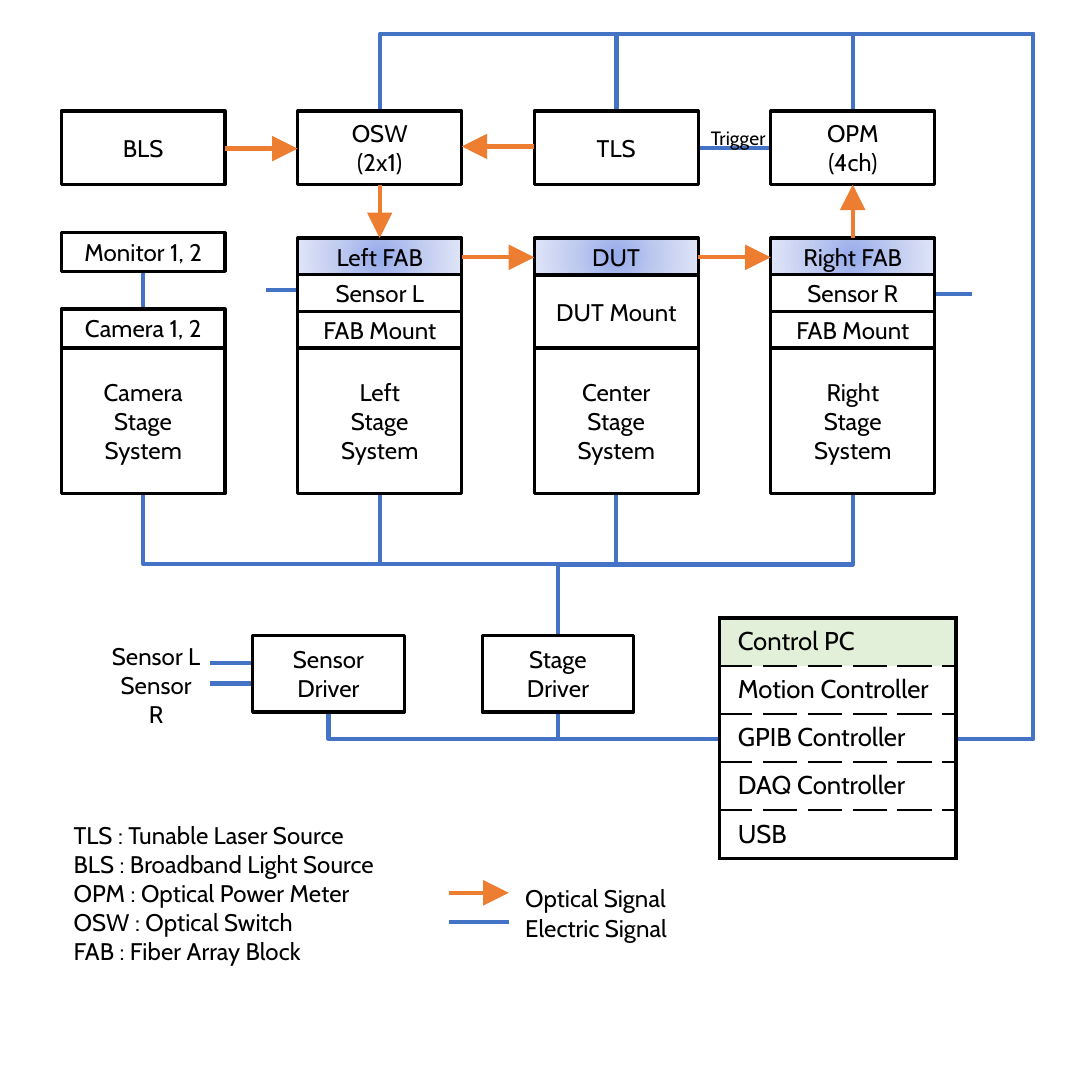
from lxml.etree import SubElement
from pptx import Presentation
from pptx.dml.color import RGBColor
from pptx.enum.shapes import MSO_CONNECTOR, MSO_SHAPE
from pptx.enum.text import MSO_ANCHOR, MSO_AUTO_SIZE, PP_ALIGN
from pptx.oxml import parse_xml
from pptx.oxml.ns import nsdecls, qn
from pptx.util import Pt

COLORS = {"black": "000000", "electric": "4472C4", "optical": "ED7D31", "header": "E2F0D9"}
GLOW_STOPS = {0: "96ABEA", 50: "C0CBF0", 100: "E0E5F7"}
BOX_FORMAT = {"margin_left": 0, "margin_right": 0, "margin_top": 0, "margin_bottom": 0,
              "vertical_anchor": MSO_ANCHOR.MIDDLE, "word_wrap": True}
LABEL_FORMAT = {"word_wrap": False, "auto_size": MSO_AUTO_SIZE.SHAPE_TO_FIT_TEXT}
CELL_FORMAT = {"margin_left": Pt(4.3), "margin_right": Pt(4.3),
               "margin_top": Pt(1.9), "margin_bottom": Pt(1.9)}

BLOCK_WIDTH = 38.3
LEFTS = [14.3 + 55.23 * column for column in range(4)]
RIGHTS = [left + BLOCK_WIDTH for left in LEFTS]
CENTERS = [left + BLOCK_WIDTH / 2 for left in LEFTS]
INSTRUMENT_TOP, INSTRUMENT_HEIGHT = 25.9, 17.2
INSTRUMENT_BOTTOM = INSTRUMENT_TOP + INSTRUMENT_HEIGHT
FAB_TOP, SENSOR_TOP, MOUNT_TOP, STAGE_TOP, STAGE_BOTTOM = 55.6, 64.2, 72.7, 81.3, 115.3
CAMERA_TOP, MONITOR_TOP, CAMERA_HEIGHT = 72.2, 54.4, 9
DRIVER_TOP, DRIVER_WIDTH, DRIVER_HEIGHT = 148.3, 35.4, 18
DRIVER_BOTTOM = DRIVER_TOP + DRIVER_HEIGHT
SENSOR_DRIVER_LEFT, STAGE_DRIVER_LEFT = 59, 112.6
STAGE_DRIVER_CENTER = STAGE_DRIVER_LEFT + DRIVER_WIDTH / 2
PC_LEFT, PC_TOP, PC_WIDTH, PC_ROW = 168, 144.3, 55.3, 11.24
GPIB_Y, BUS_TOP, BUS_RIGHT = 172.5, 7.9, 241.2


def apply_format(target, values):
    for name, value in values.items():
        setattr(target, name, value)


class Diagram:
    def __init__(self, slide, font="Cabin", size=5.6):
        self.slide, self.font, self.size = slide, font, size

    def set_text(self, text_frame, text, size=None, align=PP_ALIGN.LEFT):
        text_frame.text = text
        for paragraph in text_frame.paragraphs:
            paragraph.alignment = align
            for run in paragraph.runs:
                apply_format(run.font, {"name": self.font, "size": Pt(size or self.size)})
                run.font.color.rgb = RGBColor.from_string(COLORS["black"])

    def box(self, text, left, top, width, height, glow=False):
        shape = self.slide.shapes.add_shape(
            MSO_SHAPE.RECTANGLE, Pt(left), Pt(top), Pt(width), Pt(height))
        shape.shadow.inherit = False
        shape.fill.background()
        if glow:
            self.fill_glow(shape)
        shape.line.width = Pt(0.75)
        shape.line.color.rgb = RGBColor.from_string(COLORS["black"])
        apply_format(shape.text_frame, BOX_FORMAT)
        self.set_text(shape.text_frame, text, align=PP_ALIGN.CENTER)

    def fill_glow(self, shape):
        """Replace the fill with a gradient that spreads from the centre."""
        stops = "".join(f'<a:gs pos="{position * 1000}"><a:srgbClr val="{color}"/></a:gs>'
                        for position, color in GLOW_STOPS.items())
        no_fill = shape._element.spPr.find(qn("a:noFill"))
        no_fill.getparent().replace(no_fill, parse_xml(
            f'<a:gradFill {nsdecls("a")} rotWithShape="1"><a:gsLst>{stops}</a:gsLst>'
            '<a:path path="circle"><a:fillToRect l="50000" t="50000" r="50000" b="50000"/>'
            '</a:path></a:gradFill>'))

    def label(self, text, left, top, width, height, size=None, align=PP_ALIGN.LEFT):
        shape = self.slide.shapes.add_textbox(Pt(left), Pt(top), Pt(width), Pt(height))
        apply_format(shape.text_frame, LABEL_FORMAT)
        self.set_text(shape.text_frame, text, size, align)

    def connect(self, start, end, color="electric", kind=MSO_CONNECTOR.STRAIGHT):
        connector = self.slide.shapes.add_connector(kind, *map(Pt, (*start, *end)))
        connector.line.width = Pt(1)
        connector.line.color.rgb = RGBColor.from_string(COLORS[color])
        SubElement(connector._element.spPr, qn("a:effectLst"))
        return connector

    def arrow(self, start, end):
        connector = self.connect(start, end, "optical")
        line = connector._element.spPr.find(qn("a:ln"))
        SubElement(line, qn("a:tailEnd"), type="triangle")

    def elbow(self, start, end, preset, *adjustments):
        """Connect two points with a bent line that leaves the start vertically."""
        (x1, y1), (x2, y2) = start, end
        middle_x, middle_y = (x1 + x2) / 2, (y1 + y2) / 2
        half_x, half_y = (x2 - x1) / 2, (y2 - y1) / 2
        connector = self.connect((middle_x + half_y, middle_y - half_x),
                                 (middle_x - half_y, middle_y + half_x),
                                 kind=MSO_CONNECTOR.ELBOW)
        properties = connector._element.spPr
        properties.find(qn("a:xfrm")).set("rot", str(270 * 60000))
        geometry = properties.find(qn("a:prstGeom"))
        geometry.set("prst", preset)
        guides = geometry.find(qn("a:avLst"))
        for number, share in enumerate(adjustments, 1):
            SubElement(guides, qn("a:gd"), name=f"adj{number}", fmla=f"val {round(share * 100000)}")

    def cell_border(self, cell, side, width, dash):
        cell._tc.get_or_add_tcPr().append(parse_xml(
            f'<a:{side} {nsdecls("a")} w="{Pt(width)}"><a:solidFill>'
            f'<a:srgbClr val="{COLORS["black"]}"/></a:solidFill>'
            f'<a:prstDash val="{dash}"/></a:{side}>'))

    def list_table(self, rows, left, top, width, row_height, size):
        table = self.slide.shapes.add_table(
            len(rows), 1, Pt(left), Pt(top), Pt(width), Pt(row_height * len(rows))).table
        apply_format(table, {"first_row": False, "horz_banding": False})
        solid, dashed = (1, "solid"), (0.5, "sysDash")
        for index, text in enumerate(rows):
            table.rows[index].height = Pt(row_height)
            cell = table.cell(index, 0)
            apply_format(cell, CELL_FORMAT)
            self.set_text(cell.text_frame, text, size)
            borders = {"lnL": solid, "lnR": solid, "lnT": dashed if index else solid,
                       "lnB": solid if index == len(rows) - 1 else dashed}
            for side, style in borders.items():
                self.cell_border(cell, side, *style)
            if index:
                cell.fill.background()
            else:
                cell.fill.solid()
                cell.fill.fore_color.rgb = RGBColor.from_string(COLORS["header"])


def draw_electric_lines(diagram):
    for center in CENTERS:
        diagram.elbow((STAGE_DRIVER_CENTER, DRIVER_TOP), (center, STAGE_BOTTOM),
                      "bentConnector3", 0.5)
    pc_right = PC_LEFT + PC_WIDTH
    for center in CENTERS[1:]:
        diagram.elbow((center, INSTRUMENT_TOP), (pc_right, GPIB_Y), "bentConnector4",
                      (BUS_TOP - INSTRUMENT_TOP) / (GPIB_Y - INSTRUMENT_TOP),
                      (BUS_RIGHT - center) / (pc_right - center))
    for left in (SENSOR_DRIVER_LEFT, STAGE_DRIVER_LEFT):
        diagram.elbow((left + DRIVER_WIDTH / 2, DRIVER_BOTTOM), (PC_LEFT, GPIB_Y),
                      "bentConnector2")
    diagram.connect((RIGHTS[2], 34.5), (LEFTS[3], 34.5))
    diagram.connect((CENTERS[0], MONITOR_TOP + CAMERA_HEIGHT), (CENTERS[0], CAMERA_TOP))
    diagram.connect((LEFTS[1], 67.8), (62.1, 67.8))
    diagram.connect((RIGHTS[3], 68.6), (226.9, 68.6))
    for y in (154.8, 159.6):
        diagram.connect((49, y), (SENSOR_DRIVER_LEFT, y))


def draw_blocks(diagram):
    for left, name in zip(LEFTS, ("BLS", "OSW\n(2x1)", "TLS", "OPM\n(4ch)")):
        diagram.box(name, left, INSTRUMENT_TOP, BLOCK_WIDTH, INSTRUMENT_HEIGHT)
    for left, name in zip(LEFTS, ("Camera", "Left", "Center", "Right")):
        diagram.box(f"{name}\nStage\nSystem", left, STAGE_TOP, BLOCK_WIDTH,
                    STAGE_BOTTOM - STAGE_TOP)
    for top, name in ((MONITOR_TOP, "Monitor 1, 2"), (CAMERA_TOP, "Camera 1, 2")):
        diagram.box(name, LEFTS[0], top, BLOCK_WIDTH, CAMERA_HEIGHT)
    for left, side in ((LEFTS[1], "L"), (LEFTS[3], "R")):
        diagram.box("FAB Mount", left, MOUNT_TOP, BLOCK_WIDTH, STAGE_TOP - MOUNT_TOP)
        diagram.box(f"Sensor {side}", left, SENSOR_TOP, BLOCK_WIDTH, MOUNT_TOP - SENSOR_TOP)
    diagram.box("DUT Mount", LEFTS[2], SENSOR_TOP, BLOCK_WIDTH, STAGE_TOP - SENSOR_TOP)
    for left, name in zip(LEFTS[1:], ("Left FAB", "DUT", "Right FAB")):
        diagram.box(name, left, FAB_TOP, BLOCK_WIDTH, SENSOR_TOP - FAB_TOP, glow=True)
    for left, name in ((SENSOR_DRIVER_LEFT, "Sensor"), (STAGE_DRIVER_LEFT, "Stage")):
        diagram.box(f"{name}\nDriver", left, DRIVER_TOP, DRIVER_WIDTH, DRIVER_HEIGHT)
    diagram.list_table(["Control PC", "Motion Controller", "GPIB Controller", "DAQ Controller",
                        "USB"], PC_LEFT, PC_TOP, PC_WIDTH, PC_ROW, size=6)


def draw_optical_arrows(diagram):
    diagram.arrow((RIGHTS[0], 34.7), (LEFTS[1], 34.7))
    diagram.arrow((LEFTS[2], 34.2), (RIGHTS[1], 34.2))
    diagram.arrow((CENTERS[1], INSTRUMENT_BOTTOM), (CENTERS[1], FAB_TOP))
    diagram.arrow((CENTERS[3], FAB_TOP), (CENTERS[3], INSTRUMENT_BOTTOM))
    for column in (1, 2):
        diagram.arrow((RIGHTS[column], 60.1), (LEFTS[column + 1], 60.1))


def draw_labels_and_legend(diagram):
    diagram.label("Trigger", 158.9, 25.9, 28.1, 13, size=4.5)
    for top, side in ((146.2, "L"), (153, "R")):
        diagram.label(f"Sensor {side}", 18.8, top, 35.3, 14.4, align=PP_ALIGN.CENTER)
    diagram.label("TLS : Tunable Laser Source\nBLS : Broadband Light Source\n"
                  "OPM : Optical Power Meter\nOSW : Optical Switch\n"
                  "FAB : Fiber Array Block", 10.1, 188.2, 85, 41)
    diagram.arrow((104.8, 208.5), (118.8, 208.5))
    diagram.connect((118.8, 215.3), (104.8, 215.3))
    diagram.label("Optical Signal", 115.6, 202.8, 47, 14.4)
    diagram.label("Electric Signal", 115.6, 209.8, 47.5, 14.4)


def main():
    presentation = Presentation()
    apply_format(presentation, {"slide_width": Pt(255), "slide_height": Pt(255)})
    diagram = Diagram(presentation.slides.add_slide(presentation.slide_layouts[6]))
    draw_electric_lines(diagram)
    draw_blocks(diagram)
    draw_optical_arrows(diagram)
    draw_labels_and_legend(diagram)
    presentation.save("out.pptx")


if __name__ == "__main__":
    main()
